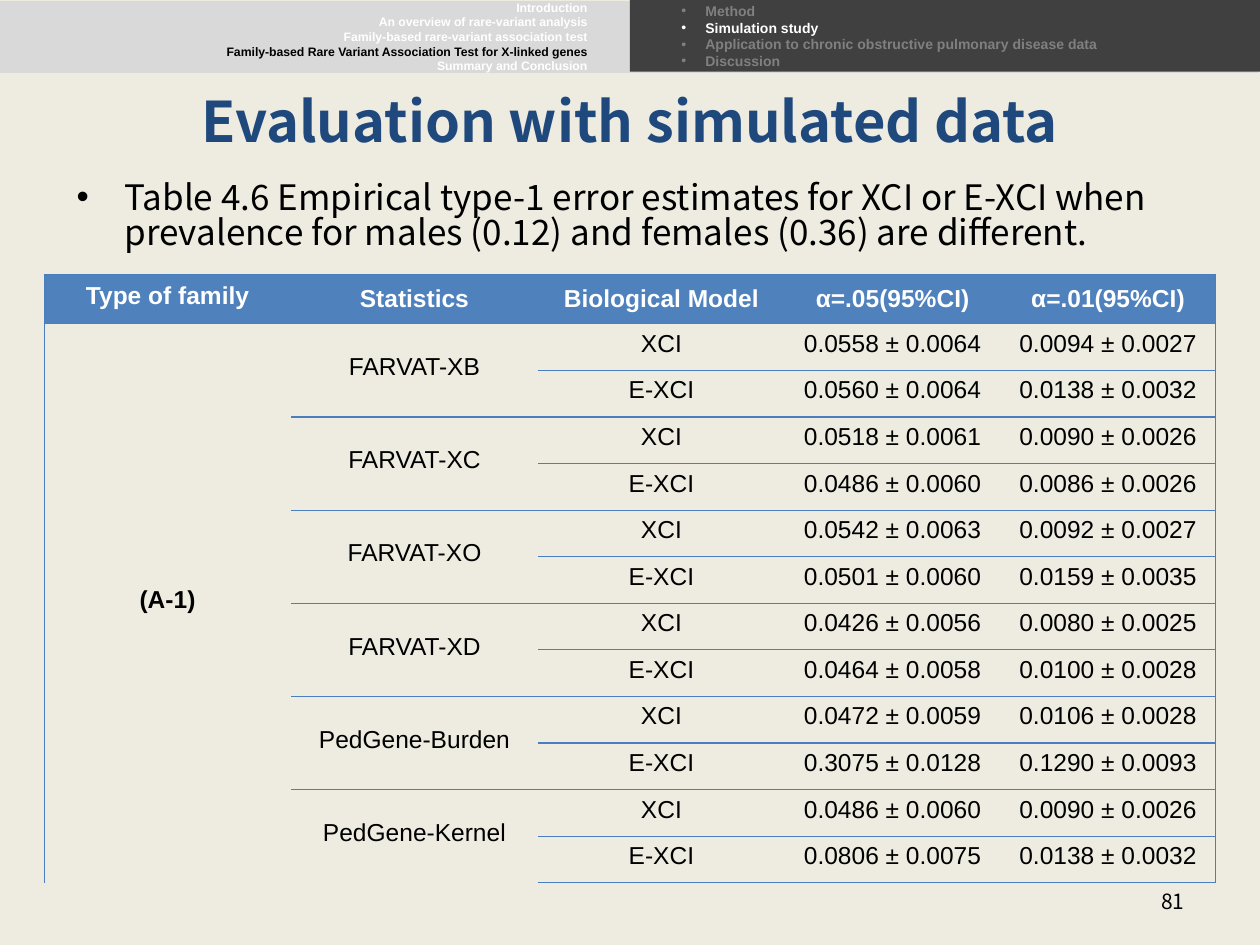
"""Build the slide of type-1 error estimates for simulated family data."""
import pptx
import pptx.util
import pptx.dml.color
import pptx.enum.shapes
import pptx.enum.text
import pptx.oxml
import pptx.oxml.ns

Inches, Pt = pptx.util.Inches, pptx.util.Pt
ALIGN, ANCHOR = pptx.enum.text.PP_ALIGN, pptx.enum.text.MSO_ANCHOR

COLORS = {
    "background": "EEECE1", "light": "D9D9D9", "dark": "404040", "muted": "808080",
    "white": "FFFFFF", "black": "000000", "title": "1F497D",
    "header": "4F81BD", "border": "4B7EBC",
}
SANS, CJK = "Arial", "Noto Sans CJK KR"

TITLE = "Evaluation with simulated data"
CAPTION = ("Table 4.6 Empirical type-1 error estimates for XCI or E-XCI when prevalence "
           "for males (0.12) and females (0.36) are different.")
PAGE = "81"
CHAPTERS = [
    ("Introduction", "white"),
    ("An overview of rare-variant analysis", "white"),
    ("Family-based rare-variant association test", "white"),
    ("Family-based Rare Variant Association Test for X-linked genes", "black"),
    ("Summary and Conclusion", "white"),
]
SECTIONS = [
    ("Method", "muted"),
    ("Simulation study", "white"),
    ("Application to chronic obstructive pulmonary disease data", "muted"),
    ("Discussion", "muted"),
]
HEADINGS = ["Type of family", "Statistics", "Biological Model", "α=.05(95%CI)", "α=.01(95%CI)"]
FAMILY = "(A-1)"
MODELS = ["XCI", "E-XCI"]
ESTIMATES = {
    "FARVAT-XB": [("0.0558 ± 0.0064", "0.0094 ± 0.0027"), ("0.0560 ± 0.0064", "0.0138 ± 0.0032")],
    "FARVAT-XC": [("0.0518 ± 0.0061", "0.0090 ± 0.0026"), ("0.0486 ± 0.0060", "0.0086 ± 0.0026")],
    "FARVAT-XO": [("0.0542 ± 0.0063", "0.0092 ± 0.0027"), ("0.0501 ± 0.0060", "0.0159 ± 0.0035")],
    "FARVAT-XD": [("0.0426 ± 0.0056", "0.0080 ± 0.0025"), ("0.0464 ± 0.0058", "0.0100 ± 0.0028")],
    "PedGene-Burden": [("0.0472 ± 0.0059", "0.0106 ± 0.0028"),
                       ("0.3075 ± 0.0128", "0.1290 ± 0.0093")],
    "PedGene-Kernel": [("0.0486 ± 0.0060", "0.0090 ± 0.0026"),
                       ("0.0806 ± 0.0075", "0.0138 ± 0.0032")],
}
COLUMN_WIDTHS = [1.96, 1.96, 1.96, 1.71, 1.71]
HEADER_HEIGHT, ROW_HEIGHT = 0.39, 0.37
NO_GRID_STYLE = "{2D5ABB26-0587-4C30-8999-92F81FD0307C}"


def rgb(color):
    return pptx.dml.color.RGBColor.from_string(COLORS[color])


def add_run(paragraph, text, size, font, color, bold=False):
    run = paragraph.add_run()
    run.text = text
    run.font.size, run.font.name, run.font.bold = Pt(size), font, bold
    run.font.color.rgb = rgb(color)


def add_bullet(paragraph, indent):
    properties = paragraph._p.get_or_add_pPr()
    properties.set("marL", str(Inches(indent)))
    properties.set("indent", str(-Inches(indent)))
    properties.append(pptx.oxml.parse_xml(
        f'<a:buFont {pptx.oxml.ns.nsdecls("a")} typeface="Arial"/>'))
    properties.append(pptx.oxml.parse_xml(
        f'<a:buChar {pptx.oxml.ns.nsdecls("a")} char="•"/>'))


def add_text(slide, place, lines, size, font, bold=False, align=None, indent=None,
             wrap=True, anchor=ANCHOR.TOP):
    frame = slide.shapes.add_textbox(*map(Inches, place)).text_frame
    frame.word_wrap, frame.vertical_anchor = wrap, anchor
    for index, (text, color) in enumerate(lines):
        paragraph = frame.add_paragraph() if index else frame.paragraphs[0]
        if indent:
            add_bullet(paragraph, indent)
        paragraph.alignment = align
        add_run(paragraph, text, size, font, color, bold)
    return frame


def add_band(slide, place, color):
    band = slide.shapes.add_shape(pptx.enum.shapes.MSO_SHAPE.RECTANGLE, *map(Inches, place))
    band.shadow.inherit = False
    band.fill.solid()
    band.fill.fore_color.rgb = rgb(color)
    band.line.fill.background()


def add_borders(cell, sides):
    properties = cell._tc.get_or_add_tcPr()
    for side in "LRTB":
        if side in sides:
            properties.append(pptx.oxml.parse_xml(
                f'<a:ln{side} {pptx.oxml.ns.nsdecls("a")} w="{Pt(0.75)}"><a:solidFill>'
                f'<a:srgbClr val="{COLORS["border"]}"/></a:solidFill></a:ln{side}>'))


def fill_cell(cell, text, color, bold, tight):
    cell.vertical_anchor = ANCHOR.MIDDLE
    paragraph = cell.text_frame.paragraphs[0]
    paragraph.alignment, paragraph.space_after = ALIGN.CENTER, Pt(4)
    if tight:
        paragraph.line_spacing = Pt(12)
    add_run(paragraph, text, 14, SANS, color, bold)


def add_estimates(slide):
    rows = [HEADINGS]
    for statistic, pairs in ESTIMATES.items():
        for model, pair in zip(MODELS, pairs):
            rows.append([FAMILY if len(rows) == 1 else "",
                         statistic if model == MODELS[0] else "", model, *pair])
    last_row, last_column = len(rows) - 1, len(HEADINGS) - 1
    table = slide.shapes.add_table(
        len(rows), len(HEADINGS), Inches(0.35), Inches(2.18), Inches(sum(COLUMN_WIDTHS)),
        Inches(HEADER_HEIGHT + last_row * ROW_HEIGHT)).table
    table.first_row = table.horz_banding = False
    table._tbl.tblPr.find(pptx.oxml.ns.qn("a:tableStyleId")).text = NO_GRID_STYLE
    for column, width in zip(table.columns, COLUMN_WIDTHS):
        column.width = Inches(width)
    for r, row in enumerate(rows):
        table.rows[r].height = Inches(ROW_HEIGHT if r else HEADER_HEIGHT)
        for c, text in enumerate(row):
            cell = table.cell(r, c)
            cell.margin_left = cell.margin_right = Inches(0.07)
            cell.margin_top = cell.margin_bottom = 0
            add_borders(cell, ("L" if c == 0 else "") + ("R" if c == last_column else "")
                        + ("T" if text else "") + ("B" if r == last_row else ""))
            if r == 0:
                cell.fill.solid()
                cell.fill.fore_color.rgb = rgb("header")
            else:
                cell.fill.background()
            if text:
                fill_cell(cell, text, "black" if r else "white", r == 0 or c == 0,
                          r > 0 or c == 0)
    table.cell(1, 0).merge(table.cell(last_row, 0))
    for r in range(1, last_row, len(MODELS)):
        table.cell(r, 1).merge(table.cell(r + len(MODELS) - 1, 1))


def main():
    deck = pptx.Presentation()
    deck.slide_width, deck.slide_height = Inches(10), Inches(7.5)
    slide = deck.slides.add_slide(deck.slide_layouts[5])
    slide.background.fill.solid()
    slide.background.fill.fore_color.rgb = rgb("background")

    add_band(slide, (0, 0.01, 9.99, 0.57), "light")
    caption = add_text(slide, (0.51, 1.4, 9, 0.8), [(CAPTION, "black")], 20, CJK, indent=0.38)
    caption.paragraphs[0].line_spacing = 0.83

    title = slide.shapes.title
    title.left, title.top, title.width, title.height = map(Inches, (0.5, 0.68, 9, 0.55))
    title.text_frame.vertical_anchor = ANCHOR.MIDDLE
    heading = title.text_frame.paragraphs[0]
    heading.alignment = ALIGN.CENTER
    add_run(heading, TITLE, 32, CJK, "title", True)

    add_band(slide, (5, 0, 5, 0.57), "dark")
    add_text(slide, (5.31, -0.03, 3.53, 0.64), SECTIONS, 8, SANS, True, indent=0.19, wrap=False)
    add_estimates(slide)
    add_text(slide, (0.51, -0.05, 4.25, 0.69), CHAPTERS, 7, SANS, True, ALIGN.RIGHT)
    add_text(slide, (7.17, 6.95, 2.33, 0.4), [(PAGE, "black")], 12, CJK,
             align=ALIGN.RIGHT, anchor=ANCHOR.MIDDLE)
    deck.save("out.pptx")


if __name__ == "__main__":
    main()
